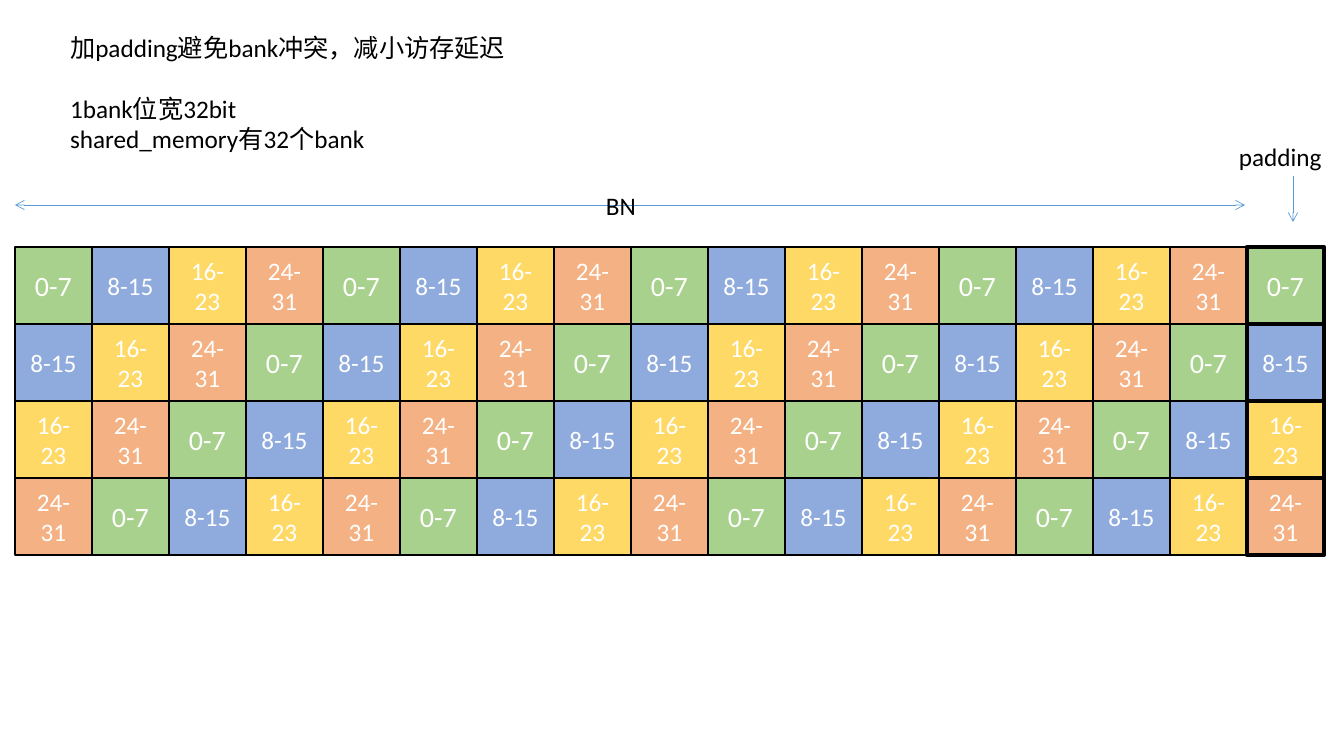
from typing import NamedTuple

from lxml import etree
from pptx import Presentation
from pptx.dml.color import RGBColor
from pptx.enum.shapes import MSO_CONNECTOR, MSO_SHAPE
from pptx.enum.text import MSO_ANCHOR, MSO_AUTO_SIZE, PP_ALIGN
from pptx.oxml.ns import qn
from pptx.util import Emu, Pt

RECT = MSO_SHAPE.RECTANGLE
STRAIGHT = MSO_CONNECTOR.STRAIGHT
TOP, MIDDLE = MSO_ANCHOR.TOP, MSO_ANCHOR.MIDDLE
LEFT, CENTER = PP_ALIGN.LEFT, PP_ALIGN.CENTER
NO_AUTOFIT = MSO_AUTO_SIZE.NONE

PX_PER_INCH = 100.8
FONT = "Calibri"
COLORS = {
    "green": "A9D18E",
    "blue": "8FAADC",
    "yellow": "FFD966",
    "orange": "F4B183",
    "arrow": "5B9BD5",
    "black": "000000",
    "white": "FFFFFF",
}
GRID_LEFT, GRID_TOP, CELL = 15, 247, 77
ROWS, BN = 4, 16


class Bank(NamedTuple):
    label: str
    color: str
    size: int


class Label(NamedTuple):
    text: str
    left: int
    top: int
    width: int
    height: int


class Arrow(NamedTuple):
    x1: int
    y1: int
    x2: int
    y2: int
    ends: tuple[str, ...]


BANKS = [
    Bank("0-7", "green", 20),
    Bank("8-15", "blue", 18),
    Bank("16-23", "yellow", 18),
    Bank("24-31", "orange", 18),
]
HEADING = Label(
    "加padding避免bank冲突，减小访存延迟\n1bank位宽32bit\nshared_memory有32个bank",
    60, 27, 555, 132,
)
LABELS = [
    Label("BN", 596, 185, 152, 40),
    Label("padding", 1229, 136, 127, 40),
]
ARROWS = [
    Arrow(15, 205, 1245, 205, ("a:headEnd", "a:tailEnd")),
    Arrow(1293, 176, 1293, 222, ("a:tailEnd",)),
]


def px(n: int) -> Emu:
    return Emu(round(n * 914400 / PX_PER_INCH))


def rgb(name: str) -> RGBColor:
    return RGBColor.from_string(COLORS[name])


def format_text(tf, size: int, color: str, align, anchor) -> None:
    tf.word_wrap = True
    tf.auto_size = NO_AUTOFIT
    tf.vertical_anchor = anchor
    for p in tf.paragraphs:
        p.alignment = align
        for r in p.runs:
            r.font.name = FONT
            r.font.size = Pt(size)
            r.font.color.rgb = rgb(color)


def fill_heading(s, label: Label) -> None:
    sp = s.shapes.title
    sp.left, sp.top = px(label.left), px(label.top)
    sp.width, sp.height = px(label.width), px(label.height)
    tf = sp.text_frame
    tf.text = label.text
    format_text(tf, 18, "black", LEFT, TOP)
    tf.paragraphs[1].space_before = Pt(22)


def add_cell(s, bank: Bank, row: int, col: int) -> None:
    sp = s.shapes.add_shape(
        RECT, px(GRID_LEFT + col * CELL), px(GRID_TOP + row * CELL), px(CELL), px(CELL)
    )
    sp.shadow.inherit = False
    sp.fill.solid()
    sp.fill.fore_color.rgb = rgb(bank.color)
    sp.line.color.rgb = rgb("black")
    sp.line.width = Pt(3 if col == BN else 1)
    sp.text_frame.text = bank.label
    format_text(sp.text_frame, bank.size, "white", CENTER, MIDDLE)


def add_label(s, label: Label) -> None:
    sp = s.shapes.add_textbox(
        px(label.left), px(label.top), px(label.width), px(label.height)
    )
    sp.text_frame.text = label.text
    format_text(sp.text_frame, 18, "black", LEFT, TOP)


def add_arrow(s, arrow: Arrow) -> None:
    line = s.shapes.add_connector(
        STRAIGHT, px(arrow.x1), px(arrow.y1), px(arrow.x2), px(arrow.y2)
    )
    line.line.color.rgb = rgb("arrow")
    line.line.width = Pt(0.5)
    ln = line.line._get_or_add_ln()
    for end in arrow.ends:
        etree.SubElement(ln, qn(end), type="arrow")
    etree.SubElement(line._element.spPr, qn("a:effectLst"))


def main() -> None:
    prs = Presentation()
    prs.slide_width, prs.slide_height = px(1344), px(756)
    s = prs.slides.add_slide(prs.slide_layouts[5])
    fill_heading(s, HEADING)
    for col in range(BN + 1):
        for row in range(ROWS):
            add_cell(s, BANKS[(row + col) % len(BANKS)], row, col)
    for arrow in ARROWS:
        add_arrow(s, arrow)
    for label in LABELS:
        add_label(s, label)
    prs.save("out.pptx")


if __name__ == "__main__":
    main()
